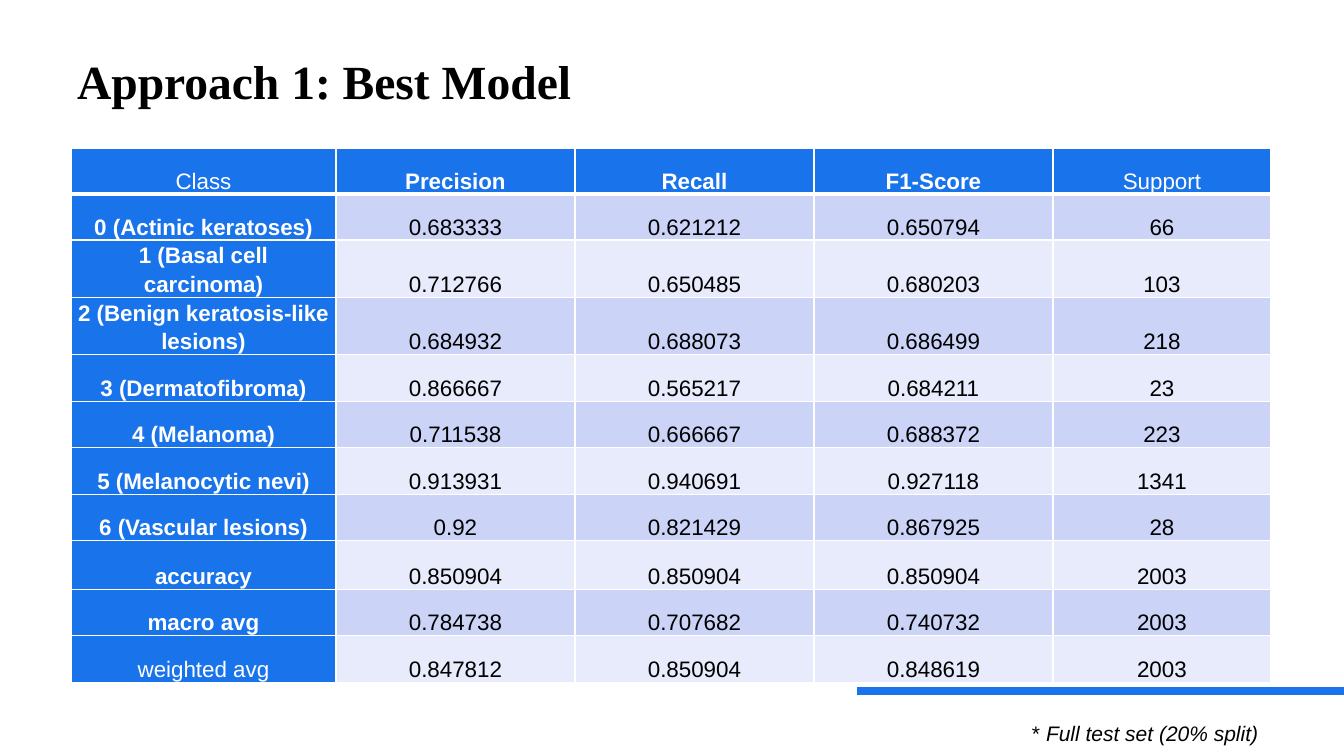
from lxml import etree
from pptx import Presentation, util as u
from pptx.dml.color import RGBColor
from pptx.enum import shapes, text
from pptx.oxml import ns

TITLE = "Approach 1: Best Model"
FOOTNOTE = [("* ", False), ("Full test set (20% split)", True)]
METRICS = [
    ("Class", "Precision", "Recall", "F1-Score", "Support"),
    ("0 (Actinic keratoses)", "0.683333", "0.621212", "0.650794", "66"),
    ("1 (Basal cell carcinoma)", "0.712766", "0.650485", "0.680203", "103"),
    ("2 (Benign keratosis-like lesions)", "0.684932", "0.688073", "0.686499", "218"),
    ("3 (Dermatofibroma)", "0.866667", "0.565217", "0.684211", "23"),
    ("4 (Melanoma)", "0.711538", "0.666667", "0.688372", "223"),
    ("5 (Melanocytic nevi)", "0.913931", "0.940691", "0.927118", "1341"),
    ("6 (Vascular lesions)", "0.92", "0.821429", "0.867925", "28"),
    ("accuracy", "0.850904", "0.850904", "0.850904", "2003"),
    ("macro avg", "0.784738", "0.707682", "0.740732", "2003"),
    ("weighted avg", "0.847812", "0.850904", "0.848619", "2003"),
]
COL_WIDTHS = [265, 239, 239, 239, 218]
ROW_HEIGHTS = [46, 46, 57, 57, 47, 46, 47, 46, 49, 46, 47]
COLORS = {"blue": "1973EB", "dark_band": "CBD4F7", "light_band": "E7EBFB",
          "white": "FFFFFF", "black": "000000"}


def px(n):
    return u.Emu(round(n * 914400 / 100.8))


def rgb(name):
    return RGBColor.from_string(COLORS[name])


def add_run(p, words, size, color="black", font="Arial", bold=False, italic=False):
    r = p.add_run()
    r.text = words
    f = r.font
    f.name, f.size, f.bold, f.italic = font, u.Pt(size), bold, italic
    f.color.rgb = rgb(color)


def set_borders(cell, bottom):
    """Draw white cell borders; bottom is the lower one's width in points."""
    tc_pr = cell._tc.get_or_add_tcPr()
    for side, width in (("L", 1), ("R", 1), ("T", 1), ("B", bottom)):
        ln = etree.SubElement(tc_pr, ns.qn(f"a:ln{side}"), w=str(u.Pt(width)))
        fill = etree.SubElement(ln, ns.qn("a:solidFill"))
        etree.SubElement(fill, ns.qn("a:srgbClr"), val=COLORS["white"])


def add_title(s):
    sp = s.shapes.title
    sp.left, sp.top, sp.width, sp.height = px(67), px(53), px(693), px(121)
    tf = sp.text_frame
    tf.auto_size = text.MSO_AUTO_SIZE.NONE
    tf.vertical_anchor = text.MSO_ANCHOR.TOP
    p = tf.paragraphs[0]
    p.alignment = text.PP_ALIGN.LEFT
    p.line_spacing = 0.9
    add_run(p, TITLE, 34, font="Times New Roman", bold=True)


def add_accent_line(s):
    line = s.shapes.add_connector(shapes.MSO_CONNECTOR.STRAIGHT,
                                  px(857), px(691), px(1344), px(691))
    line.line.color.rgb = rgb("blue")
    line.line.width = u.Pt(6)
    etree.SubElement(line._element.spPr, ns.qn("a:effectLst"))


def add_metrics_table(s):
    last_row, last_col = len(METRICS) - 1, len(COL_WIDTHS) - 1
    corners = {(0, 0), (0, last_col), (last_row, 0)}
    table = s.shapes.add_table(len(METRICS), len(COL_WIDTHS), px(71), px(148),
                               px(sum(COL_WIDTHS)), px(sum(ROW_HEIGHTS))).table
    table.first_row = table.horz_banding = False
    for col, width in zip(table.columns, COL_WIDTHS):
        col.width = px(width)
    for row, height in zip(table.rows, ROW_HEIGHTS):
        row.height = px(height)

    for i, values in enumerate(METRICS):
        for j, value in enumerate(values):
            heading = i == 0 or j == 0
            band = "dark_band" if i % 2 else "light_band"
            cell = table.cell(i, j)
            set_borders(cell, 3 if i == 0 else 1)
            cell.fill.solid()
            cell.fill.fore_color.rgb = rgb("blue" if heading else band)
            cell.margin_left = cell.margin_right = px(7)
            cell.margin_top = cell.margin_bottom = 0
            cell.vertical_anchor = text.MSO_ANCHOR.BOTTOM
            p = cell.text_frame.paragraphs[0]
            p.alignment = text.PP_ALIGN.CENTER
            p.line_spacing = 1.15
            add_run(p, value, 16, "white" if heading else "black",
                    bold=heading and (i, j) not in corners)


def add_footnote(s):
    tf = s.shapes.add_textbox(px(1022), px(711), px(266), px(45)).text_frame
    tf.word_wrap = True
    tf.margin_left = tf.margin_right = tf.margin_top = tf.margin_bottom = px(10)
    for words, italic in FOOTNOTE:
        add_run(tf.paragraphs[0], words, 15, italic=italic)


def main():
    prs = Presentation()
    prs.slide_width, prs.slide_height = px(1344), px(756)
    s = prs.slides.add_slide(prs.slide_layouts[5])
    add_title(s)
    add_accent_line(s)
    add_metrics_table(s)
    add_footnote(s)
    prs.save("out.pptx")


if __name__ == "__main__":
    main()
